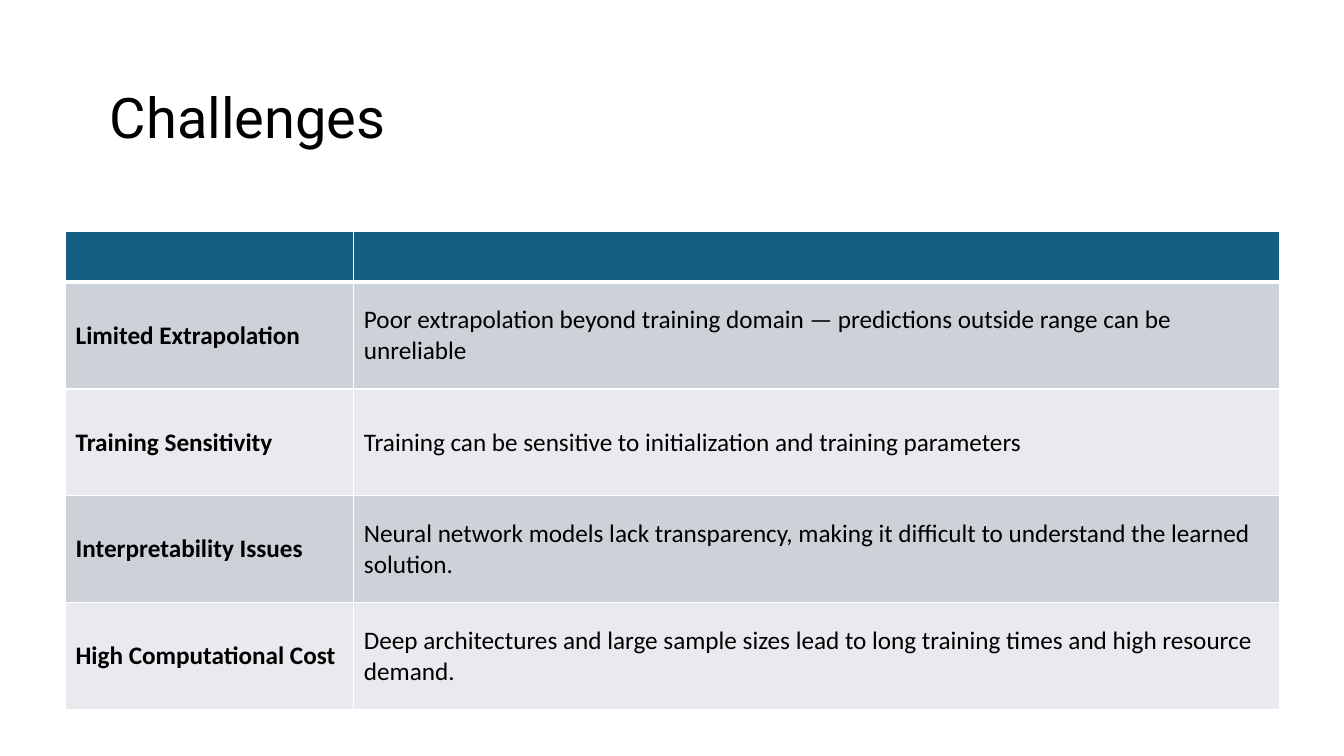
import pptx
import pptx.util
import pptx.dml.color
import pptx.enum.text
import pptx.oxml
import pptx.oxml.ns

Inches, Pt = pptx.util.Inches, pptx.util.Pt
RGBColor = pptx.dml.color.RGBColor
PP_ALIGN, MSO_ANCHOR = pptx.enum.text.PP_ALIGN, pptx.enum.text.MSO_ANCHOR

TITLE = "Challenges"
CHALLENGES = [
    ("", ""),
    ("Limited Extrapolation",
     "Poor extrapolation beyond training domain — predictions outside range can be unreliable"),
    ("Training Sensitivity",
     "Training can be sensitive to initialization and training parameters"),
    ("Interpretability Issues",
     "Neural network models lack transparency, making it difficult to understand "
     "the learned solution."),
    ("High Computational Cost",
     "Deep architectures and large sample sizes lead to long training times and "
     "high resource demand."),
]

BLACK = RGBColor(0x00, 0x00, 0x00)
WHITE = RGBColor(0xFF, 0xFF, 0xFF)
HEADER_BLUE = RGBColor(0x15, 0x60, 0x82)
BANDS = [RGBColor(0xE8, 0xEA, 0xED), RGBColor(0xCC, 0xD2, 0xD8)]

COLUMN_WIDTHS = [2.86, 9.18]
HEADER_HEIGHT, ROW_HEIGHT = 0.5, 1.06
TITLE_FONT = {"name": "Roboto", "size": Pt(40)}
CELL_FONT = {"name": "Calibri", "size": Pt(18)}


def set_font(font, formats):
    for name, value in formats.items():
        setattr(font, name, value)
    font.color.rgb = BLACK


def add_borders(cell, widths):
    """Draw white cell borders; widths maps L, R, T and B to points."""
    properties = cell._tc.get_or_add_tcPr()
    for side, width in widths.items():
        properties.append(pptx.oxml.parse_xml(
            f'<a:ln{side} {pptx.oxml.ns.nsdecls("a")} w="{Pt(width)}">'
            f'<a:solidFill><a:srgbClr val="{WHITE}"/></a:solidFill></a:ln{side}>'))


def add_title(slide):
    title = slide.shapes.title
    title.left, title.top = Inches(0.99), Inches(0.44)
    title.width, title.height = Inches(7.03), Inches(1.5)
    title.text_frame.text = TITLE
    title.text_frame.word_wrap = True
    title.text_frame.vertical_anchor = MSO_ANCHOR.MIDDLE
    heading = title.text_frame.paragraphs[0]
    heading.alignment = PP_ALIGN.LEFT
    heading.line_spacing = 0.9
    set_font(heading.font, TITLE_FONT)


def add_challenges(slide):
    heights = [HEADER_HEIGHT] + [ROW_HEIGHT] * (len(CHALLENGES) - 1)
    table = slide.shapes.add_table(
        len(CHALLENGES), len(COLUMN_WIDTHS), Inches(0.65), Inches(2.3),
        Inches(sum(COLUMN_WIDTHS)), Inches(sum(heights))).table
    for column, width in zip(table.columns, COLUMN_WIDTHS):
        column.width = Inches(width)
    for r, (challenge, height) in enumerate(zip(CHALLENGES, heights)):
        table.rows[r].height = Inches(height)
        for c, wording in enumerate(challenge):
            cell = table.cell(r, c)
            add_borders(cell, {"L": 1, "R": 1, "T": 3 if r == 1 else 1,
                               "B": 3 if r == 0 else 1})
            cell.fill.solid()
            cell.fill.fore_color.rgb = BANDS[r % 2] if r else HEADER_BLUE
            cell.vertical_anchor = MSO_ANCHOR.MIDDLE
            cell.text = wording
            set_font(cell.text_frame.paragraphs[0].font, {**CELL_FONT, "bold": c == 0})


def main():
    deck = pptx.Presentation()
    deck.slide_width, deck.slide_height = Inches(13.33), Inches(7.5)
    slide = deck.slides.add_slide(deck.slide_layouts[5])
    add_title(slide)
    add_challenges(slide)
    deck.save("out.pptx")


if __name__ == "__main__":
    main()
